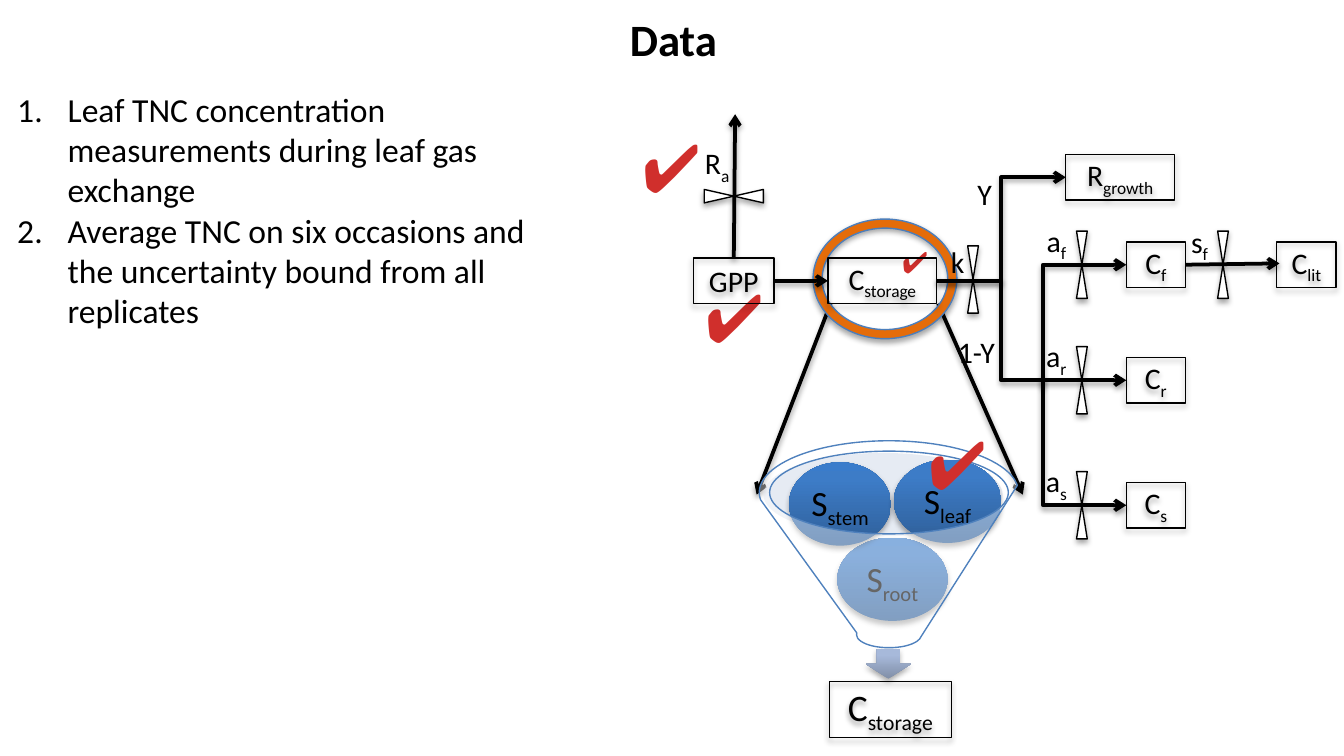
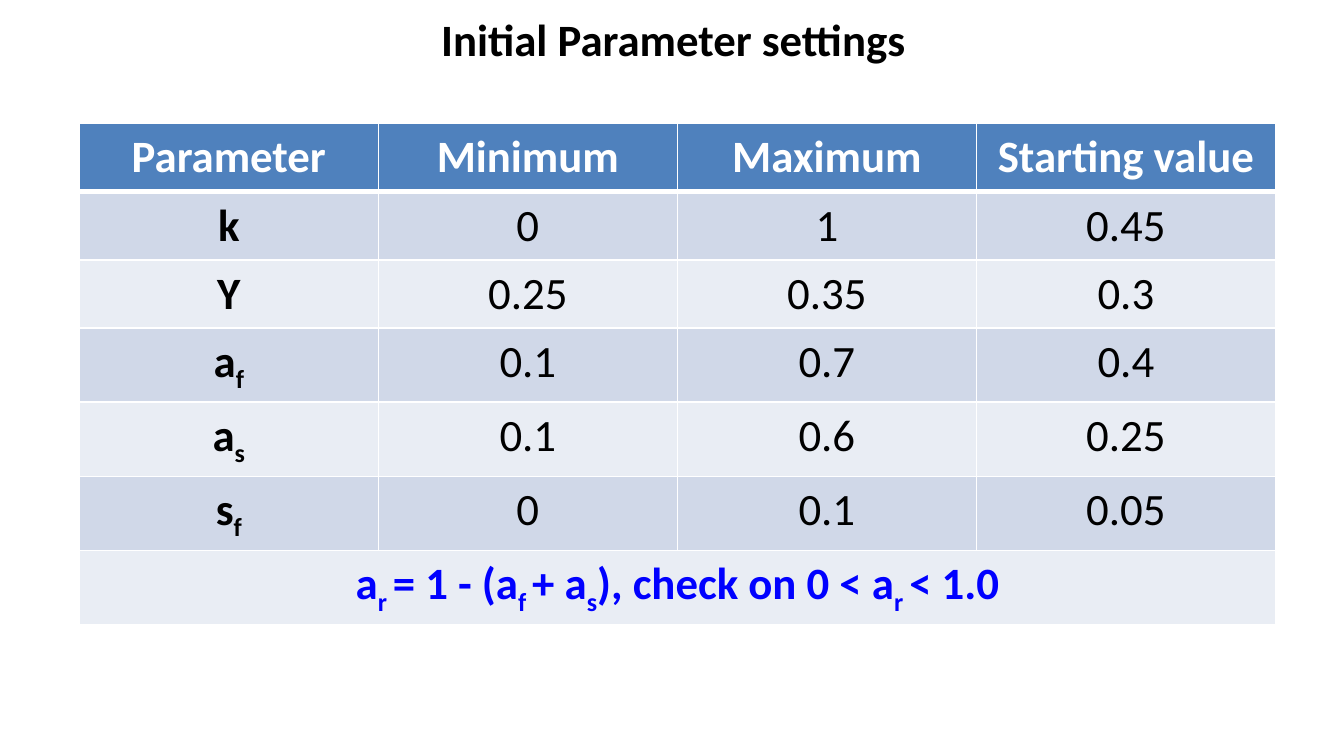
from dataclasses import dataclass
from typing import Optional, Union

from pptx import Presentation
from pptx.dml.color import RGBColor
from pptx.enum.shapes import MSO_CONNECTOR, MSO_SHAPE
from pptx.enum.text import MSO_ANCHOR, PP_ALIGN
from pptx.oxml import parse_xml
from pptx.oxml.ns import nsdecls, qn
from pptx.util import Emu, Inches, Pt

RECT, OVAL, DONUT = MSO_SHAPE.RECTANGLE, MSO_SHAPE.OVAL, MSO_SHAPE.DONUT
FUNNEL, DOWN = MSO_SHAPE.FUNNEL, MSO_SHAPE.DOWN_ARROW
VALVE = MSO_SHAPE.FLOWCHART_COLLATE
LINE, ELBOW = MSO_CONNECTOR.STRAIGHT, MSO_CONNECTOR.ELBOW
MID, TOP = MSO_ANCHOR.MIDDLE, MSO_ANCHOR.TOP
CENTER, LEFT = PP_ALIGN.CENTER, PP_ALIGN.LEFT

# Slide of 16 by 9, with a grid of 100 columns of square cells
WIDE = Inches(10)
HIGH = Emu(WIDE * 9 // 16)
CELL = WIDE / 100


@dataclass(frozen=True)
class Blend:
    stops: tuple[tuple[int, str], ...]
    angle: int


Paint = Union[str, Blend]


@dataclass(frozen=True)
class Theme:
    font: str = "Calibri"
    sign: str = "Arial"
    ink: str = "000000"
    white: str = "FFFFFF"
    head: str = "4F81BD"
    odd: str = "D0D8E8"
    even: str = "E9EDF4"
    note: str = "0000FF"
    ring: str = "E46C0A"
    edge: str = "4B7EBC"
    mist: str = "C2CDE1"
    red: Blend = Blend(((0, "FC7C7A"), (75, "D02F2C"), (100, "C70500")), 90)
    ball: Blend = Blend(((0, "2F5F99"), (80, "3D7CC7"), (100, "3A7CCB")), 270)
    drop: Blend = Blend(((0, "818FA8"), (80, "A7B9DA"), (100, "A7BADC")), 270)
    title: int = 24
    check: int = 36
    total: int = 20
    store: int = 19
    body: int = 18
    label: int = 16
    thin: float = 0.75
    bold: float = 2


T = Theme()


@dataclass(frozen=True)
class Box:
    """A shape, or a plain text box when form is None; "_" toggles subscript."""
    x: float
    y: float
    w: float
    h: float
    text: str = ""
    form: Optional[MSO_SHAPE] = None
    size: int = T.label
    fill: Optional[Paint] = None
    alpha: int = 100
    line: Optional[str] = None
    shade: bool = False
    turn: int = 0
    adj: Optional[float] = None
    inset: Optional[float] = None
    lead: Optional[float] = None
    font: str = T.font
    ink: Paint = T.ink
    bold: bool = False
    anchor: MSO_ANCHOR = MID


@dataclass(frozen=True)
class Arrow:
    """A straight arrow; bend is the elbow share; drop starts upright."""
    x1: float
    y1: float
    x2: float
    y2: float
    bend: Optional[float] = None
    drop: bool = False


def unit(n: float) -> Emu:
    return Emu(round(n * CELL))


def blend(host, paint: Blend) -> None:
    """Replace the solid fill of an element by a gradient."""
    stops = "".join(f'<a:gs pos="{p * 1000}"><a:srgbClr val="{c}"/></a:gs>'
                    for p, c in paint.stops)
    old = host.find(qn("a:solidFill"))
    host.replace(old, parse_xml(
        f'<a:gradFill {nsdecls("a")} rotWithShape="1"><a:gsLst>{stops}</a:gsLst>'
        f'<a:lin ang="{paint.angle * 60000}" scaled="0"/></a:gradFill>'))


def shade(spot, alpha: int, dist: float) -> None:
    """Add a soft shadow that falls straight down."""
    old = spot.find(qn("a:effectLst"))
    if old is not None:
        spot.remove(old)
    spot.append(parse_xml(
        f'<a:effectLst {nsdecls("a")}><a:outerShdw blurRad="{Pt(3.1)}" '
        f'dist="{Pt(dist)}" dir="5400000" rotWithShape="0"><a:srgbClr val="{T.ink}">'
        f'<a:alpha val="{alpha * 1000}"/></a:srgbClr></a:outerShdw></a:effectLst>'))


def write(para, text: str, size: int, ink: Paint = T.ink, bold: bool = False,
          font: str = T.font, align: PP_ALIGN = CENTER) -> None:
    para.alignment = align
    for i, part in enumerate(text.split("_")):
        if not part:
            continue
        run = para.add_run()
        run.text = part
        run.font.size, run.font.bold, run.font.name = Pt(size), bold, font
        solid = ink if isinstance(ink, str) else T.ink
        run.font.color.rgb = RGBColor.from_string(solid)
        props = run.font._element
        if isinstance(ink, Blend):
            blend(props, ink)
        if i % 2:
            props.set("baseline", "-25000")


def draw_box(slide, box: Box) -> None:
    area = [unit(n) for n in (box.x, box.y, box.w, box.h)]
    if box.form is None:
        shape = slide.shapes.add_textbox(*area)
    else:
        shape = slide.shapes.add_shape(box.form, *area)
        shape.shadow.inherit = False
        shape.rotation = box.turn
        if box.adj is not None:
            shape.adjustments[0] = box.adj
        dress(shape, box)
    if box.text:
        frame = shape.text_frame
        frame.word_wrap, frame.vertical_anchor = True, box.anchor
        if box.inset is not None:
            frame.margin_left = frame.margin_right = unit(box.inset)
            frame.margin_top = frame.margin_bottom = unit(box.inset)
        para = frame.paragraphs[0]
        if box.lead:
            para.line_spacing = box.lead
        write(para, box.text, box.size, box.ink, box.bold, box.font)


def dress(shape, box: Box) -> None:
    """Set fill, outline and shadow."""
    spot = shape.element.spPr
    if box.fill is None:
        shape.fill.background()
    else:
        shape.fill.solid()
        solid = box.fill if isinstance(box.fill, str) else T.white
        shape.fill.fore_color.rgb = RGBColor.from_string(solid)
        if isinstance(box.fill, Blend):
            blend(spot, box.fill)
        elif box.alpha < 100:
            tint = spot.find(qn("a:solidFill"))[0]
            tint.append(parse_xml(
                f'<a:alpha {nsdecls("a")} val="{box.alpha * 1000}"/>'))
    if box.line:
        shape.line.color.rgb = RGBColor.from_string(box.line)
        shape.line.width = Pt(T.thin)
    else:
        shape.line.fill.background()
    if box.shade:
        shade(spot, 35, 1.8)


def draw_arrow(slide, arrow: Arrow) -> None:
    ends = (arrow.x1, arrow.y1, arrow.x2, arrow.y2)
    if arrow.drop:  # quarter turn about the middle
        mx, my = (arrow.x1 + arrow.x2) / 2, (arrow.y1 + arrow.y2) / 2
        dx, dy = arrow.x1 - mx, arrow.y1 - my
        ends = (mx - dy, my + dx, mx + dy, my - dx)
    bent = arrow.drop or arrow.bend is not None
    link = slide.shapes.add_connector(ELBOW if bent else LINE, *map(unit, ends))
    spot = link.element.spPr
    geom = spot.find(qn("a:prstGeom"))
    if arrow.drop:
        geom.set("prst", "bentConnector2")
        spot.find(qn("a:xfrm")).set("rot", str(270 * 60000))
    elif bent:
        geom.find(qn("a:avLst")).append(parse_xml(
            f'<a:gd {nsdecls("a")} name="adj1" '
            f'fmla="val {round(arrow.bend * 100000)}"/>'))
    link.line.color.rgb = RGBColor.from_string(T.ink)
    link.line.width = Pt(T.bold)
    spot.find(qn("a:ln")).append(parse_xml(
        f'<a:tailEnd {nsdecls("a")} type="arrow"/>'))
    shade(spot, 38, 1.6)


def draw_all(slide, parts: list[Union[Box, Arrow]]) -> None:
    for part in parts:
        (draw_box if isinstance(part, Box) else draw_arrow)(slide, part)


def node(x: float, y: float, w: float, text: str, h: float = 3.4,
         size: int = T.label) -> Box:
    return Box(x, y, w, h, text, RECT, size, line=T.ink, shade=True)


def valve(x: float, y: float, w: float = 0.8, h: float = 5, turn: int = 0) -> Box:
    return Box(x, y, w, h, form=VALVE, fill=T.white, line=T.ink, shade=True,
               turn=turn)


def check(x: float, y: float, size: int = T.check) -> Box:
    return Box(x, y, 12.6, 7.9, "✔", size=size, font=T.sign, ink=T.red, bold=True)


def pool(x: float, y: float, w: float, text: str) -> list[Box]:
    """A ball with its caption inside."""
    gap = 0.15 * w
    return [Box(x, y, w, 6.2, form=OVAL, fill=T.ball, shade=True),
            Box(x + gap, y + 0.9, w - 2 * gap, 4.4, text, size=T.store,
                inset=0.3, lead=0.9)]


def branch(y: float, key: str) -> list[Box]:
    """Target pool, valve and share label on one row."""
    return [node(83.8, y - 1.7, 4.4, f"C_{key}"), valve(80.1, y - 2.5),
            Box(76.6, y - 3, 4, 2.7, f"a_{key}")]


def title(slide, text: str) -> None:
    draw_box(slide, Box(2.2, 0.4, 95.8, 4.9, text, size=T.title, bold=True,
                        anchor=TOP))


def data_slide(slide) -> None:
    title(slide, "Data")

    # Numbered list
    frame = slide.shapes.add_textbox(*map(unit, (0.3, 6.1, 40.2, 19.2))).text_frame
    frame.word_wrap = True
    points = ("Leaf TNC concentration measurements during leaf gas exchange",
              "Average TNC on six occasions and the uncertainty bound from all "
              "replicates")
    for i, text in enumerate(points):
        para = frame.add_paragraph() if i else frame.paragraphs[0]
        props = para._p.get_or_add_pPr()
        props.set("marL", str(unit(3.75)))
        props.set("indent", str(-unit(3.75)))
        props.append(parse_xml(
            f'<a:buAutoNum {nsdecls("a")} type="arabicPeriod"/>'))
        write(para, text, T.body, align=LEFT)

    # Storage funnel
    draw_all(slide, [
        check(48.4, 19.5), check(43.7, 8.4),
        Arrow(61.8, 22.6, 56.3, 36.8), Arrow(69.8, 22.6, 76.1, 36.8),
        Box(56.8, 33.7, 17.8, 6.2, form=OVAL, fill=T.mist, alpha=40),
        Box(64.4, 48.3, 3.4, 2.2, form=DOWN, fill=T.drop, shade=True),
        *pool(62.3, 40, 8.2, "S_root"),
        *pool(58.7, 34.4, 7.6, "S_stem"),
        *pool(66.5, 34.2, 8, "S_leaf"),
        Box(56.5, 32.8, 19.3, 15.4, form=FUNNEL, fill=T.white, alpha=40,
            line=T.head),
        node(61.7, 50.7, 9.1, "C_storage", 4.2, T.total),
        check(65, 30.5), check(61.8, 15.5, T.label),
        Box(60.5, 16.3, 10.7, 8.9, form=DONUT, fill=T.ring, line=T.edge,
            shade=True, adj=0.076),
    ])

    # Carbon flow
    rows = {"f": 19.7, "r": 28.3, "s": 37.6}
    draw_all(slide, [
        node(61.6, 19.2, 8.1, "C_storage"),
        Arrow(57.6, 20.9, 61.6, 20.9),
        Box(69.5, 17.8, 3.5, 3.4, "k"), valve(72, 18.3),
        node(51.6, 19.2, 6, "GPP"),
        Arrow(54.6, 19.2, 54.7, 8.5),
        Box(50.9, 10.6, 4.9, 3.4, "R_a"), valve(54.1, 12.4, 1, 4.4, 90),
        Arrow(77.6, 28, 83.8, rows["s"], drop=True),
        Arrow(77.6, 28.8, 83.8, rows["f"], drop=True),
        *(part for key, y in rows.items() for part in branch(y, key)),
        valve(90.6, 17.2), Box(87.3, 16.8, 3.9, 2.7, "s_f"),
        node(95, 18, 4.4, "C_lit"), Arrow(88.2, 19.7, 95.2, 19.6),
        Arrow(69.7, 20.9, 83.8, rows["r"], bend=0.34),
        Arrow(69.7, 20.9, 79.3, 13.2, bend=0.5),
        node(79.3, 11.5, 8.1, "R_growth"),
        Box(71.5, 12.7, 3.5, 3.4, "Y"), Box(70.1, 24.6, 5.1, 3.1, "1-Y"),
    ])


def frame_cell(cell, top: int, low: int) -> None:
    """White borders, placed ahead of the fill."""
    props = cell._tc.get_or_add_tcPr()
    for i, (side, width) in enumerate(zip("LRTB", (1, 1, top, low))):
        props.insert(i, parse_xml(
            f'<a:ln{side} {nsdecls("a")} w="{Pt(width)}"><a:solidFill>'
            f'<a:srgbClr val="{T.white}"/></a:solidFill></a:ln{side}>'))


def param_slide(slide) -> None:
    rows = [("Parameter", "Minimum", "Maximum", "Starting value"),
            ("k", "0", "1", "0.45"),
            ("Y", "0.25", "0.35", "0.3"),
            ("a_f", "0.1", "0.7", "0.4"),
            ("a_s", "0.1", "0.6", "0.25"),
            ("s_f", "0", "0.1", "0.05"),
            ("a_r _= 1 - (a_f _+ a_s_), check on 0 < a_r _< 1.0", "", "", "")]
    last = len(rows) - 1
    table = slide.shapes.add_table(
        len(rows), 4, *map(unit, (5.9, 9.2, 89, 28.7))).table
    for r, row in enumerate(rows):
        table.rows[r].height = unit(4.1)
        fill = T.head if r == 0 else T.odd if r % 2 else T.even
        ink = T.white if r == 0 else T.note if r == last else T.ink
        for c, text in enumerate(row):
            cell = table.cell(r, c)
            cell.fill.solid()
            cell.fill.fore_color.rgb = RGBColor.from_string(fill)
            frame_cell(cell, 3 if r == 1 else 1, 3 if r == 0 else 1)
            write(cell.text_frame.paragraphs[0], text, T.title, ink,
                  bold=r == 0 or c == 0)
    table.cell(last, 0).merge(table.cell(last, 3))
    title(slide, "Initial Parameter settings")


def main() -> None:
    deck = Presentation()
    deck.slide_width, deck.slide_height = WIDE, HIGH
    blank = deck.slide_layouts[6]
    for build in (data_slide, param_slide):
        build(deck.slides.add_slide(blank))
    deck.save("out.pptx")


if __name__ == "__main__":
    main()
